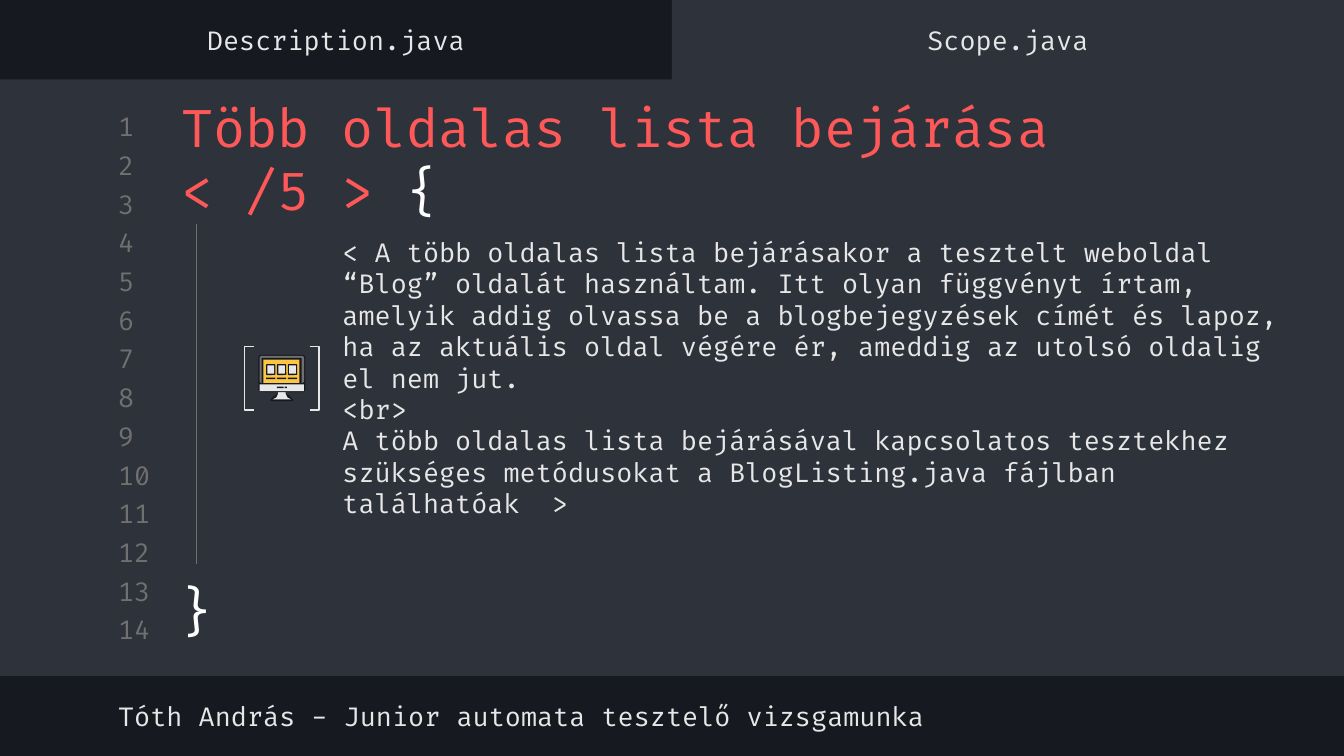
from lxml import etree
from pptx import Presentation
from pptx import util as u
from pptx.dml.color import RGBColor
from pptx.enum import shapes, text
from pptx.oxml.ns import qn

COLORS = dict(dark="16191F", panel="2E323B", gray="707070", light="E7E7E7",
              white="FFFFFF", red="FF5858", yellow="FCC642")
FONT = "Fira Code"
WIDTH, HEIGHT = 720, 405
LEFT, CENTER = text.PP_ALIGN.LEFT, text.PP_ALIGN.CENTER
MIDDLE, TOP = text.MSO_ANCHOR.MIDDLE, text.MSO_ANCHOR.TOP
RECT, ROUND = shapes.MSO_SHAPE.RECTANGLE, shapes.MSO_SHAPE.ROUNDED_RECTANGLE

TABS = ["Description.java", "Scope.java"]
TITLE = [("Több oldalas lista bejárása < /5 > ", "red"), ("{", "white")]
BODY = [
    "< A több oldalas lista bejárásakor a tesztelt weboldal “Blog” oldalát használtam. "
    "Itt olyan függvényt írtam, amelyik addig olvassa be a blogbejegyzések címét és lapoz, "
    "ha az aktuális oldal végére ér, ameddig az utolsó oldalig el nem jut.",
    "<br>",
    "A több oldalas lista bejárásával kapcsolatos tesztekhez szükséges metódusokat "
    "a BlogListing.java fájlban találhatóak  >",
]
FOOTER = "Tóth András - Junior automata tesztelő vizsgamunka"
LINE_COUNT, FIRST_LINE, LINE_PITCH = 14, 59, 20.74

PANELS = [(0, 42.5, WIDTH, 319.7), (WIDTH / 2, 0, WIDTH / 2, 46.8)]
BRACKETS = [(shapes.MSO_SHAPE.LEFT_BRACKET, 131), (shapes.MSO_SHAPE.RIGHT_BRACKET, 166)]

MONITOR = [
    (ROUND, (138.4, 190.1, 25.2, 20), "dark"),
    (ROUND, (139.1, 190.7, 23.8, 14.5), "gray"),
    (RECT, (140.2, 191.7, 21.4, 13.5), "dark"),
    (RECT, (141.1, 192.7, 19.4, 12.5), "yellow"),
    (RECT, (139.1, 205.9, 23.8, 3.6), "light"),
    (ROUND, (148.3, 207.2, 3.6, 0.8), "dark"),
    (ROUND, (152.5, 207.2, 1.2, 0.8), "dark"),
]
WINDOW = [
    (ROUND, (142.6, 195.1, 5, 5.8), "dark"),
    (RECT, (143.3, 195.8, 3.6, 4.4), "light"),
    (ROUND, (142.6, 202.3, 5, 0.8), "dark"),
]
WINDOW_COUNT, WINDOW_PITCH = 3, 5.8
AXIS = 151
STAND = [
    ([(2.3, 209.8), (2.3, 211), (3.9, 212.4), (6.3, 213.8), (6.3, 215.3)], "dark"),
    ([(1.6, 210.2), (1.6, 211.2), (3.3, 213), (5.3, 214.4)], "light"),
]


def rgb(name):
    return RGBColor.from_string(COLORS[name])


def paint(part, fill):
    part.shadow.inherit = False
    part.fill.solid()
    part.fill.fore_color.rgb = rgb(fill)
    part.line.fill.background()


def add_block(parent, kind, box, fill):
    block = parent.add_shape(kind, *map(u.Pt, box))
    paint(block, fill)
    if kind == ROUND:
        block.adjustments[0] = 0.08


def add_text(parent, box, paragraphs, size=14, align=LEFT, anchor=MIDDLE):
    holder = parent.add_textbox(*map(u.Pt, box))
    frame = holder.text_frame
    layout = dict(word_wrap=True, vertical_anchor=anchor)
    layout.update({f"margin_{side}": u.Pt(7.2) for side in ("left", "top", "right", "bottom")})
    for name, value in layout.items():
        setattr(frame, name, value)
    for index, runs in enumerate(paragraphs):
        paragraph = frame.paragraphs[0] if index == 0 else frame.add_paragraph()
        paragraph.alignment = align
        for words, color in runs:
            run = paragraph.add_run()
            run.text = words
            for name, value in dict(name=FONT, size=u.Pt(size)).items():
                setattr(run.font, name, value)
            run.font.color.rgb = rgb(color)
    return holder


def add_monitor(slide):
    icon = slide.shapes.add_group_shape().shapes
    for half, fill in STAND:
        outline = [(AXIS - x, y) for x, y in half] + [(AXIS + x, y) for x, y in reversed(half)]
        builder = icon.build_freeform(*outline[0], scale=u.Pt(1))
        builder.add_line_segments(outline[1:], close=True)
        paint(builder.convert_to_shape(), fill)
    for kind, box, fill in MONITOR:
        add_block(icon, kind, box, fill)
    for index in range(WINDOW_COUNT):
        for kind, (x, y, w, h), fill in WINDOW:
            add_block(icon, kind, (x + index * WINDOW_PITCH, y, w, h), fill)


def add_brackets(slide):
    pair = slide.shapes.add_group_shape().shapes
    for kind, x in BRACKETS:
        bracket = pair.add_shape(kind, *map(u.Pt, (x, 185.6, 5, 34)))
        bracket.adjustments[0] = 0
        bracket.shadow.inherit = False
        bracket.fill.background()
        bracket.line.color.rgb = rgb("light")
        bracket.line.width = u.Pt(0.75)


def add_scope(slide):
    scope = slide.shapes.add_group_shape().shapes
    brace = add_text(scope, (85.6, 302.4, 39.6, 48.2), [[("}", "white")]], 28, CENTER, TOP)
    guide = scope.add_connector(shapes.MSO_CONNECTOR.STRAIGHT,
                                *map(u.Pt, (105.4, 120.2, 105.4, 302.4)))
    guide.end_connect(brace, 0)
    guide.line.color.rgb = rgb("gray")
    guide.line.width = u.Pt(0.75)
    etree.SubElement(guide._element.spPr, qn("a:effectLst"))


def main():
    deck = Presentation()
    deck.slide_width, deck.slide_height = u.Pt(WIDTH), u.Pt(HEIGHT)
    slide = deck.slides.add_slide(deck.slide_layouts[6])
    slide.background.fill.solid()
    slide.background.fill.fore_color.rgb = rgb("dark")

    for box in PANELS:
        add_block(slide.shapes, RECT, box, "panel")
    for index in range(LINE_COUNT):
        add_text(slide.shapes, (56.2, FIRST_LINE + index * LINE_PITCH, 33.8, 17.3),
                 [[(str(index + 1), "gray")]])
    add_text(slide.shapes, (176.4, 90.7, 516.2, 223.2), [[(line, "light")] for line in BODY])
    add_text(slide.shapes, (90, 49, 498.2, 71.3), [TITLE], 28)
    add_monitor(slide)
    add_text(slide.shapes, (56.2, 369.4, 599.8, 28.1), [[(FOOTER, "light")]])
    for index, tab in enumerate(TABS):
        add_text(slide.shapes, (index * WIDTH / 2, 7.2, WIDTH / 2, 28.1),
                 [[(tab, "light")]], align=CENTER)
    add_brackets(slide)
    add_scope(slide)
    deck.save("out.pptx")


if __name__ == "__main__":
    main()
